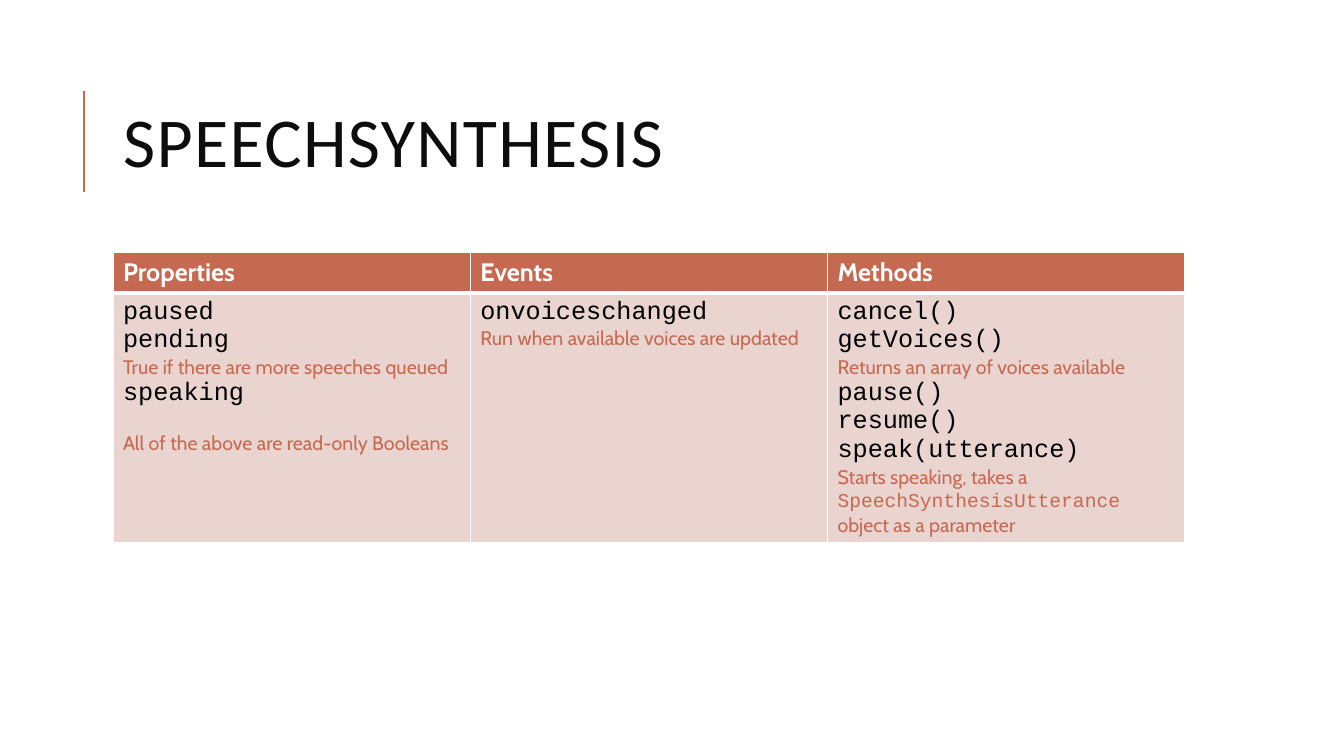
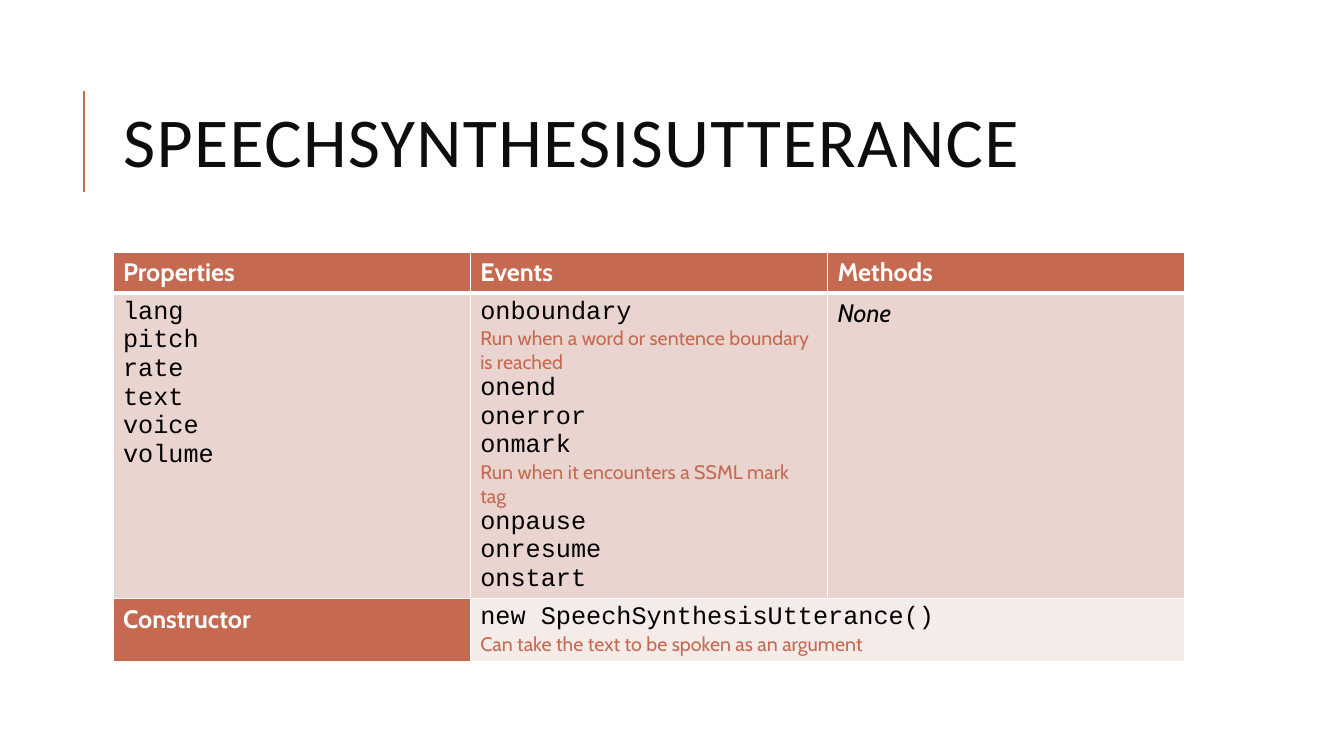
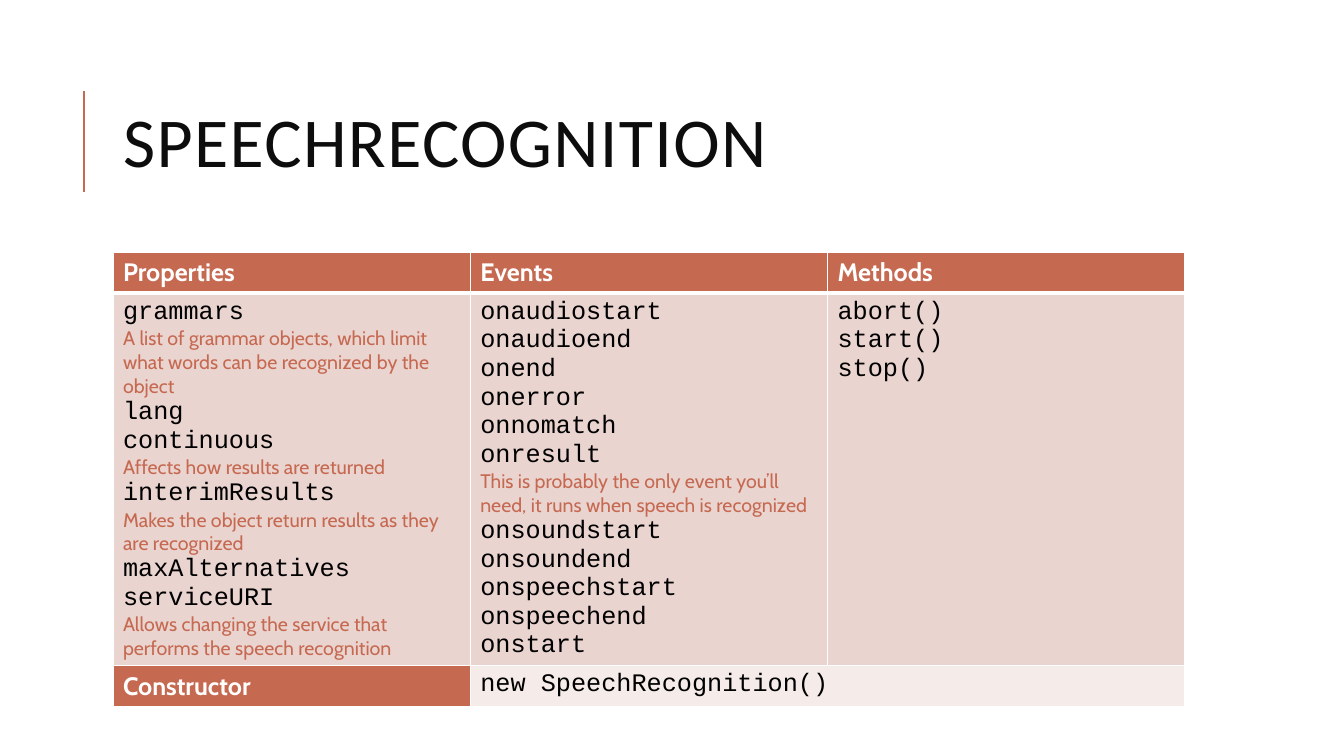
import pptx
import pptx.dml.color
import pptx.enum.shapes
import pptx.enum.text
import pptx.oxml
import pptx.oxml.ns
import pptx.util

Inches, Pt = pptx.util.Inches, pptx.util.Pt
RGBColor = pptx.dml.color.RGBColor

RUST = RGBColor(0xC6, 0x69, 0x51)
PINK = RGBColor(0xEA, 0xD4, 0xD0)
PALE_PINK = RGBColor(0xF5, 0xEB, 0xE9)
WHITE = RGBColor(0xFF, 0xFF, 0xFF)
BLACK = RGBColor(0, 0, 0)
INK = RGBColor(0x0D, 0x0D, 0x0D)

STYLES = {
    "title": (INK, {"name": "Calibri", "size": Pt(50)}),
    "heading": (WHITE, {"name": "Cabin", "size": Pt(18), "bold": True}),
    "code": (BLACK, {"name": "Courier New", "size": Pt(18), "bold": False}),
    "note": (RUST, {"name": "Cabin", "size": Pt(14), "bold": False}),
    "note code": (RUST, {"name": "Courier New", "size": Pt(14), "bold": False}),
    "empty": (BLACK, {"name": "Cabin", "size": Pt(18), "bold": False, "italic": True}),
}


def line(style, text, gap=0):
    """One paragraph: its runs and the space before it in points."""
    return [(style, text)], gap


def code(*names):
    return [line("code", name) for name in names]


def note(text, gap=0):
    return [line("note", text, gap)]


HEADINGS = ["Properties", "Events", "Methods"]

INTERFACES = [
    {
        "title": "SPEECHSYNTHESIS",
        "members": [
            code("paused", "pending")
            + note("True if there are more speeches queued")
            + code("speaking")
            + note("All of the above are read-only Booleans", gap=17),
            code("onvoiceschanged") + note("Run when available voices are updated"),
            code("cancel()", "getVoices()")
            + note("Returns an array of voices available")
            + code("pause()", "resume()", "speak(utterance)")
            + [([("note", "Starts speaking, takes a "),
                 ("note code", "SpeechSynthesisUtterance"),
                 ("note", " object as a parameter")], 0)],
        ],
    },
    {
        "title": "SPEECHSYNTHESISUTTERANCE",
        "members": [
            code("lang", "pitch", "rate", "text", "voice", "volume"),
            code("onboundary")
            + note("Run when a word or sentence boundary is reached")
            + code("onend", "onerror", "onmark")
            + note("Run when it encounters a SSML mark tag")
            + code("onpause", "onresume", "onstart"),
            [line("empty", "None")],
        ],
        "constructor": code("new SpeechSynthesisUtterance()")
        + note("Can take the text to be spoken as an argument"),
    },
    {
        "title": "SPEECHRECOGNITION",
        "members": [
            code("grammars")
            + note("A list of grammar objects, which limit what words can be "
                   "recognized by the object")
            + code("lang", "continuous")
            + note("Affects how results are returned")
            + code("interimResults")
            + note("Makes the object return results as they are recognized")
            + code("maxAlternatives", "serviceURI")
            + note("Allows changing the service that performs the speech recognition"),
            code("onaudiostart", "onaudioend", "onend", "onerror", "onnomatch", "onresult")
            + note("This is probably the only event you’ll need, "
                   "it runs when speech is recognized")
            + code("onsoundstart", "onsoundend", "onspeechstart", "onspeechend", "onstart"),
            code("abort()", "start()", "stop()"),
        ],
        "constructor": code("new SpeechRecognition()"),
    },
]

LEFT, WIDTH = Inches(1.12), Inches(10.63)
TABLE_TOP, ROW_HEIGHT = Inches(2.5), Inches(0.41)
RULE_X, RULE_TOP, RULE_BOTTOM = Inches(0.83), Inches(0.9), Inches(1.9)


def add_run(paragraph, style, text):
    run = paragraph.add_run()
    run.text = text
    color, formats = STYLES[style]
    for attribute, value in formats.items():
        setattr(run.font, attribute, value)
    run.font.color.rgb = color
    return run


def set_borders(cell, **widths):
    """Draw white borders: 1 point, or the width given for a side (L, R, T, B)."""
    properties = cell._tc.get_or_add_tcPr()
    for side in "LRTB":
        properties.append(pptx.oxml.parse_xml(
            f'<a:ln{side} {pptx.oxml.ns.nsdecls("a")} w="{Pt(widths.get(side, 1))}">'
            f'<a:solidFill><a:srgbClr val="{WHITE}"/></a:solidFill></a:ln{side}>'))


def fill_cell(cell, paragraphs, color, **border_widths):
    set_borders(cell, **border_widths)
    cell.fill.solid()
    cell.fill.fore_color.rgb = color
    frame = cell.text_frame
    for index, (runs, gap) in enumerate(paragraphs):
        paragraph = frame.add_paragraph() if index else frame.paragraphs[0]
        if gap:
            paragraph.space_before = Pt(gap)
        for style, text in runs:
            add_run(paragraph, style, text)


def set_up_layout(layout):
    """Place the title and the rule beside it for every slide."""
    title = layout.placeholders[0]
    title.left, title.top = LEFT, Inches(0.64)
    title.width, title.height = WIDTH, Inches(1.64)
    title.text_frame.vertical_anchor = pptx.enum.text.MSO_ANCHOR.MIDDLE
    title.text_frame.auto_size = pptx.enum.text.MSO_AUTO_SIZE.NONE


def add_rule(slide, layout):
    """Draw the title rule and hand it to the layout, so that all slides share it."""
    rule = slide.shapes.add_connector(
        pptx.enum.shapes.MSO_CONNECTOR.STRAIGHT, RULE_X, RULE_BOTTOM, RULE_X, RULE_TOP)
    rule.line.color.rgb = RUST
    rule.line.width = Pt(1.5)
    rule.element.spPr.append(
        pptx.oxml.parse_xml(f'<a:effectLst {pptx.oxml.ns.nsdecls("a")}/>'))
    layout.shapes.element.append(rule.element)


def add_title(slide, text):
    paragraph = slide.shapes.title.text_frame.paragraphs[0]
    paragraph.alignment = pptx.enum.text.PP_ALIGN.LEFT
    paragraph.line_spacing = 0.8
    run = add_run(paragraph, "title", text)
    run.font._element.set("spc", "100")


def add_members_table(slide, members, constructor):
    rows = 3 if constructor else 2
    table = slide.shapes.add_table(
        rows, len(HEADINGS), LEFT, TABLE_TOP, WIDTH, ROW_HEIGHT * rows).table
    for column, (heading, paragraphs) in enumerate(zip(HEADINGS, members)):
        fill_cell(table.cell(0, column), [line("heading", heading)], RUST, B=3)
        fill_cell(table.cell(1, column), paragraphs, PINK, T=3)
    if constructor:
        table.cell(2, 1).merge(table.cell(2, 2))
        fill_cell(table.cell(2, 0), [line("heading", "Constructor")], RUST)
        fill_cell(table.cell(2, 1), constructor, PALE_PINK)


def main():
    deck = pptx.Presentation()
    deck.slide_width, deck.slide_height = Inches(13.33), Inches(7.5)
    layout = deck.slide_layouts.get_by_name("Title Only")
    set_up_layout(layout)
    for interface in INTERFACES:
        slide = deck.slides.add_slide(layout)
        add_title(slide, interface["title"])
        add_members_table(slide, interface["members"], interface.get("constructor"))
    add_rule(slide, layout)
    deck.save("out.pptx")


if __name__ == "__main__":
    main()
